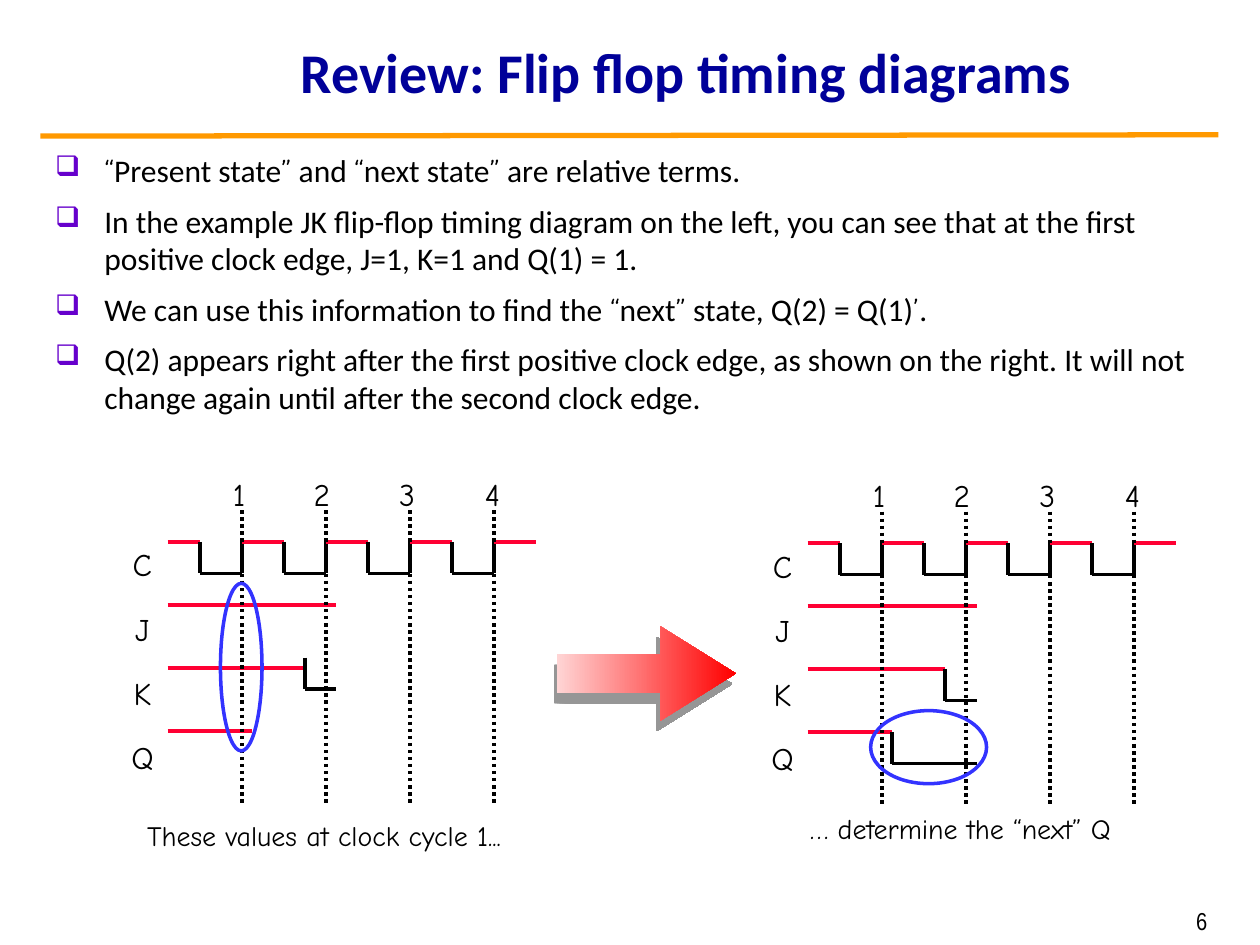
from dataclasses import dataclass
from itertools import groupby, pairwise

from lxml import etree
from pptx import Presentation
from pptx import util as u
from pptx.dml.color import RGBColor
from pptx.enum import shapes, text
from pptx.oxml.ns import qn

Point = tuple[float, float]
Frame = tuple[float, float, float, float]


@dataclass(frozen=True)
class Theme:
    ink: str = "000000"
    title: str = "000099"
    rule: str = "FF9900"
    bullet: str = "6600CC"
    high: str = "FF0033"
    marker: str = "3333FF"
    arrow_tail: str = "FFD5D5"
    arrow_head: str = "FF0000"
    arrow_shadow: str = "969696"
    sans: str = "Calibri"
    hand: str = "Comic Neue"
    narrow: str = "Arial Narrow"
    title_size: int = 32
    body_size: int = 18
    caption_size: int = 16
    number_size: int = 14


@dataclass(frozen=True)
class Trace:
    color: str
    points: list[Point]


@dataclass(frozen=True)
class Diagram:
    """A timing diagram; every place inside it is relative to its origin."""
    origin: Point
    traces: list[Trace]
    marker: Frame
    caption: str
    caption_frame: Frame


THEME = Theme()
HALF_CYCLE = 1 / 3
FIRST_EDGE = 0.59
CYCLES = 4
END = 1.34
K_FALL = 1.09
Q_FALL = 0.67

BULLETS = [
    "“Present state” and “next state” are relative terms.",
    "In the example JK flip-flop timing diagram on the left, you can see that at the first "
    "positive clock edge, J=1, K=1 and Q(1) = 1.",
    "We can use this information to find the “next” state, Q(2) = Q(1)’.",
    "Q(2) appears right after the first positive clock edge, as shown on the right. It will not "
    "change again until after the second clock edge.",
]

SHARED_TRACES = [
    Trace(THEME.high, [(0, 0.5), (END, 0.5)]),
    Trace(THEME.high, [(0, 1), (K_FALL, 1)]),
    Trace(THEME.high, [(0, 1.5), (Q_FALL, 1.5)]),
]
DIAGRAMS = [
    Diagram((1.33, 4.3),
            SHARED_TRACES + [Trace(THEME.ink, [(K_FALL, 0.92), (K_FALL, 1.17), (END, 1.17)])],
            (0.42, 0.33, 0.33, 1.33),
            "These values at clock cycle 1...", (-0.26, 2.15, 3.33, 0.37)),
    Diagram((6.41, 4.31),
            SHARED_TRACES + [Trace(THEME.ink, [(K_FALL, 1), (K_FALL, 1.25), (END, 1.25)]),
                             Trace(THEME.ink, [(Q_FALL, 1.5), (Q_FALL, 1.75), (END, 1.75)])],
            (0.5, 1.33, 0.92, 0.58),
            "… determine the “next” Q", (-0.08, 2.08, 2.87, 0.37)),
]


def shift(frame: Frame, origin: Point) -> Frame:
    return (frame[0] + origin[0], frame[1] + origin[1], *frame[2:])


def lengths(values) -> list[u.Length]:
    return [u.Inches(value) for value in values]


def add_span(para, words: str, font: str, size: int, color: str, bold: bool = False) -> None:
    span = para.add_run()
    span.text = words
    span.font.name = font
    span.font.size = u.Pt(size)
    span.font.bold = bold
    span.font.color.rgb = RGBColor.from_string(color)


def add_text(parent, frame: Frame, lines: list[str], *, font: str = THEME.hand,
             size: int = THEME.body_size, color: str = THEME.ink, bold: bool = False,
             align=text.PP_ALIGN.LEFT, anchor=text.MSO_ANCHOR.TOP, wrap: bool = False,
             spacing: tuple[float, ...] = ()):
    """Add a text box with one paragraph a line; unwrapped boxes grow with their text."""
    box = parent.shapes.add_textbox(*lengths(frame)).text_frame
    box.word_wrap = wrap
    box.auto_size = text.MSO_AUTO_SIZE.NONE if wrap else text.MSO_AUTO_SIZE.SHAPE_TO_FIT_TEXT
    box.vertical_anchor = anchor
    for index, line in enumerate(lines):
        para = box.add_paragraph() if index else box.paragraphs[0]
        para.alignment = align
        if spacing:
            para.line_spacing = spacing[index]
        add_span(para, line, font, size, color, bold)
    return box


def add_line(parent, start: Point, end: Point, color: str, width: float = 2,
             dotted: bool = False) -> None:
    line = parent.shapes.add_connector(shapes.MSO_CONNECTOR.STRAIGHT, *lengths(start + end))
    line.line.color.rgb = RGBColor.from_string(color)
    line.line.width = u.Pt(width)
    properties = line.line._get_or_add_ln()
    if dotted:
        etree.SubElement(properties, qn("a:prstDash"), val="sysDot")
    etree.SubElement(line._element.spPr, qn("a:effectLst"))


def add_bullets(page) -> None:
    box = add_text(page, (0.34, 1.15, 9.34, 5.98), [], wrap=True)
    for index, line in enumerate(BULLETS):
        para = box.add_paragraph() if index else box.paragraphs[0]
        para.space_before = u.Pt(7.2)
        properties = para._p.get_or_add_pPr()
        properties.set("marL", str(u.Inches(0.39)))
        properties.set("indent", str(-u.Inches(0.39)))
        color = etree.SubElement(properties, qn("a:buClr"))
        etree.SubElement(color, qn("a:srgbClr"), val=THEME.bullet)
        etree.SubElement(properties, qn("a:buSzPct"), val="90000")
        etree.SubElement(properties, qn("a:buChar"), char="❑")
        for quote, letters in groupby(line, lambda letter: letter in "“”’"):
            add_span(para, "".join(letters), THEME.hand if quote else THEME.sans,
                     THEME.body_size, THEME.ink)


def clock_traces() -> list[Trace]:
    traces = [Trace(THEME.high, [(0, 0), (FIRST_EDGE - HALF_CYCLE, 0)])]
    for cycle in range(CYCLES):
        rise = FIRST_EDGE + 2 * HALF_CYCLE * cycle
        fall = rise - HALF_CYCLE
        traces.append(Trace(THEME.ink, [(fall, 0), (fall, 0.25), (rise, 0.25), (rise, 0)]))
        traces.append(Trace(THEME.high, [(rise, 0), (rise + HALF_CYCLE, 0)]))
    return traces


def add_diagram(page, diagram: Diagram) -> None:
    group = page.shapes.add_group_shape()
    left, top = diagram.origin
    add_text(group, shift((-0.41, -0.17, 0.42, 2.08), diagram.origin), list("CJKQ"),
             align=text.PP_ALIGN.CENTER, spacing=(1.5, 1.7, 1.7, 1.7))
    for trace in clock_traces() + diagram.traces:
        for (x1, y1), (x2, y2) in pairwise(trace.points):
            add_line(group, (left + x1, top + y1), (left + x2, top + y2), trace.color)
    for cycle in range(CYCLES):
        x = left + FIRST_EDGE + 2 * HALF_CYCLE * cycle
        add_line(group, (x, top - 0.25), (x, top + 2.08), THEME.ink, dotted=True)

    numbers = add_text(group, shift((0.42, -0.58, 2.35, 0.4), diagram.origin), ["1\t2\t3\t4"])
    tabs = etree.SubElement(numbers.paragraphs[0]._p.get_or_add_pPr(), qn("a:tabLst"))
    for stop in (0.64, 1.32, 2):
        etree.SubElement(tabs, qn("a:tab"), pos=str(u.Inches(stop)), algn="l")

    marker = group.shapes.add_shape(shapes.MSO_SHAPE.OVAL,
                                    *lengths(shift(diagram.marker, diagram.origin)))
    marker.shadow.inherit = False
    marker.fill.background()
    marker.line.color.rgb = RGBColor.from_string(THEME.marker)
    marker.line.width = u.Pt(2)
    add_text(group, shift(diagram.caption_frame, diagram.origin), [diagram.caption],
             size=THEME.caption_size)


def add_arrow(page) -> None:
    arrow = page.shapes.add_shape(shapes.MSO_SHAPE.RIGHT_ARROW, *lengths((4.42, 4.97, 1.42, 0.75)))
    arrow.adjustments[0], arrow.adjustments[1] = 0.41, 0.8
    arrow.line.fill.background()
    arrow.fill.gradient()
    arrow.fill.gradient_angle = 0
    for stop, color in zip(arrow.fill.gradient_stops, (THEME.arrow_tail, THEME.arrow_head)):
        stop.color.rgb = RGBColor.from_string(color)
    arrow.shadow.inherit = False
    shadow = etree.SubElement(arrow._element.spPr.find(qn("a:effectLst")), qn("a:outerShdw"),
                              dist=str(u.Pt(6.3)), dir=str(108 * 60000), rotWithShape="0")
    etree.SubElement(shadow, qn("a:srgbClr"), val=THEME.arrow_shadow)


def main() -> None:
    deck = Presentation()
    deck.slide_width, deck.slide_height = lengths((10, 7.5))
    page = deck.slides.add_slide(deck.slide_layouts[6])
    add_line(page, (0.32, 1.08), (9.67, 1.07), THEME.rule, width=3)
    add_text(page, (7.32, 7.14, 2.36, 0.31), ["6"], font=THEME.narrow, size=THEME.number_size,
             align=text.PP_ALIGN.RIGHT, wrap=True)
    add_text(page, (1.22, 0.13, 8.45, 0.87), ["Review: Flip flop timing diagrams"],
             font=THEME.sans, size=THEME.title_size, color=THEME.title, bold=True,
             align=text.PP_ALIGN.CENTER, anchor=text.MSO_ANCHOR.MIDDLE, wrap=True)
    add_bullets(page)
    for diagram in DIAGRAMS:
        add_diagram(page, diagram)
    add_arrow(page)
    deck.save("out.pptx")


if __name__ == "__main__":
    main()
